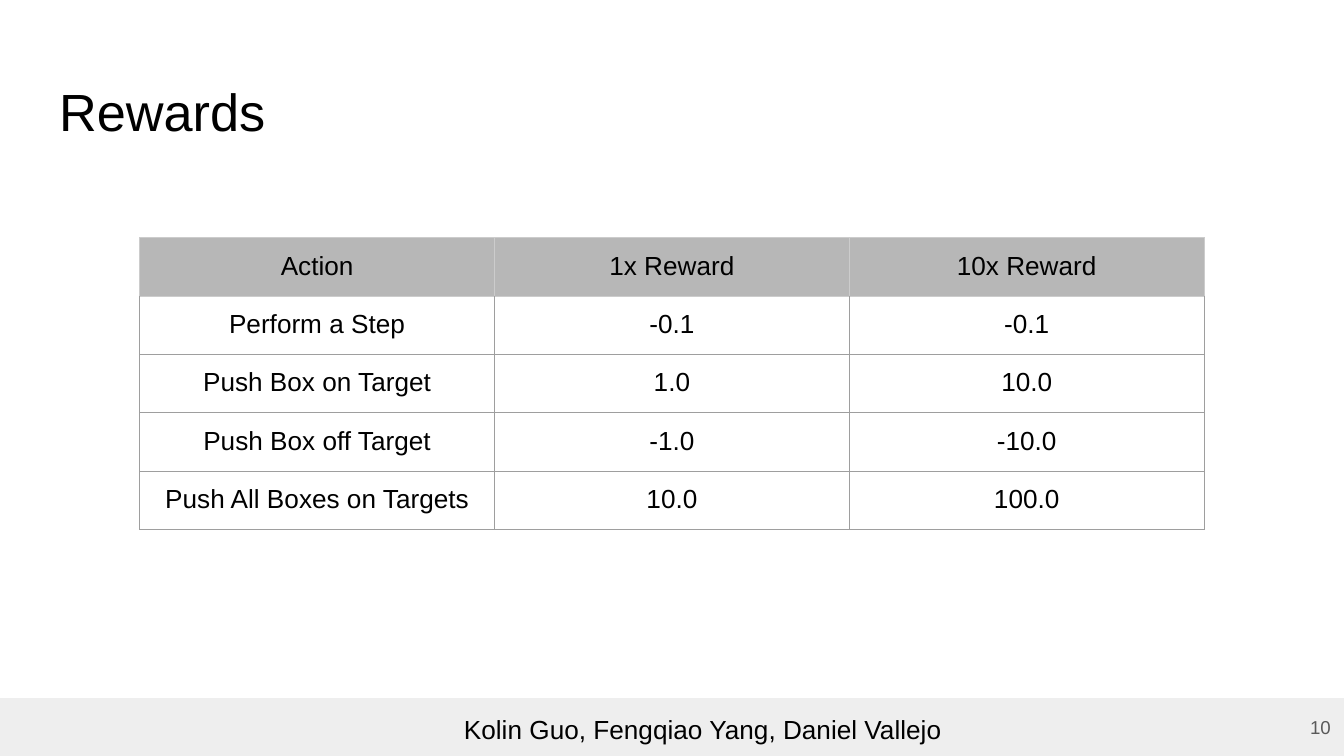
from pptx import Presentation
from pptx.dml.color import RGBColor
from pptx.enum.shapes import MSO_SHAPE
from pptx.enum.text import MSO_ANCHOR, PP_ALIGN
from pptx.oxml import parse_xml
from pptx.oxml.ns import nsdecls
from pptx.util import Inches, Pt

BLACK = RGBColor(0x00, 0x00, 0x00)
DARK_GRAY = RGBColor(0x59, 0x59, 0x59)
BAND_GRAY = RGBColor(0xEE, 0xEE, 0xEE)
HEADER_GRAY = RGBColor(0xB7, 0xB7, 0xB7)
HEADER_LINE = RGBColor(0xCC, 0xCC, 0xCC)
BODY_LINE = RGBColor(0x9E, 0x9E, 0x9E)

SLIDE_WIDTH = 10
SLIDE_HEIGHT = SLIDE_WIDTH * 9 / 16
BAND_HEIGHT = 0.43
BAND_TOP = SLIDE_HEIGHT - BAND_HEIGHT

FONT = "Arial"
INSET = Inches(0.1)
COL_WIDTH, ROW_HEIGHT = 2.64, 5 / 12
TABLE_HEIGHT = 2.17
REWARDS = [
    ("Action", "1x Reward", "10x Reward"),
    ("Perform a Step", "-0.1", "-0.1"),
    ("Push Box on Target", "1.0", "10.0"),
    ("Push Box off Target", "-1.0", "-10.0"),
    ("Push All Boxes on Targets", "10.0", "100.0"),
]


def set_insets(box):
    box.margin_left = box.margin_right = INSET
    box.margin_top = box.margin_bottom = INSET


def write(tf, text, size, color=BLACK, align=PP_ALIGN.CENTER):
    p = tf.paragraphs[0]
    p.alignment = align
    r = p.add_run()
    r.text = text
    r.font.name = FONT
    r.font.size = Pt(size)
    r.font.color.rgb = color


def fill_frame(tf, text, size, color=BLACK, align=PP_ALIGN.CENTER,
               anchor=MSO_ANCHOR.TOP):
    tf.word_wrap = True
    tf.vertical_anchor = anchor
    set_insets(tf)
    write(tf, text, size, color, align)


def add_title(slide, text):
    title = slide.shapes.title
    title.left, title.top = Inches(0.34), Inches(0.49)
    title.width, title.height = Inches(9.32), Inches(0.63)
    fill_frame(title.text_frame, text, 28, align=PP_ALIGN.LEFT)


def add_band(slide, left, top, width, height):
    sp = slide.shapes.add_shape(MSO_SHAPE.RECTANGLE, Inches(left), Inches(top),
                                Inches(width), Inches(height))
    sp.shadow.inherit = False
    sp.fill.solid()
    sp.fill.fore_color.rgb = BAND_GRAY
    sp.line.fill.background()


def add_text(slide, left, top, width, height, text, size, **style):
    box = slide.shapes.add_textbox(Inches(left), Inches(top),
                                   Inches(width), Inches(height))
    fill_frame(box.text_frame, text, size, **style)


def set_borders(cell, color, top_color):
    """Draw the four cell edges, which must precede the fill in the XML."""
    tc_pr = cell._tc.get_or_add_tcPr()
    edges = {"lnL": color, "lnR": color, "lnT": top_color, "lnB": color}
    for i, (tag, edge_color) in enumerate(edges.items()):
        ln = parse_xml(f'<a:{tag} {nsdecls("a")} w="{Pt(0.75)}"><a:solidFill>'
                       f'<a:srgbClr val="{edge_color}"/></a:solidFill></a:{tag}>')
        tc_pr.insert(i, ln)


def add_table(slide, left, top, rows):
    n_rows, n_cols = len(rows), len(rows[0])
    frame = slide.shapes.add_table(
        n_rows, n_cols, Inches(left), Inches(top),
        Inches(COL_WIDTH * n_cols), Inches(TABLE_HEIGHT))
    table = frame.table
    table.first_row = table.horz_banding = False
    for col in table.columns:
        col.width = Inches(COL_WIDTH)
    for i, values in enumerate(rows):
        table.rows[i].height = Inches(ROW_HEIGHT)
        for j, value in enumerate(values):
            cell = table.cell(i, j)
            set_insets(cell)
            write(cell.text_frame, value, 14)
            if i == 0:
                cell.fill.solid()
                cell.fill.fore_color.rgb = HEADER_GRAY
            else:
                cell.fill.background()
            set_borders(cell, BODY_LINE if i else HEADER_LINE,
                        BODY_LINE if i > 1 else HEADER_LINE)
    # Changing the row heights resets the height of the frame.
    frame.height = Inches(TABLE_HEIGHT)


def main():
    prs = Presentation()
    prs.slide_width, prs.slide_height = Inches(SLIDE_WIDTH), Inches(SLIDE_HEIGHT)
    slide = prs.slides.add_slide(prs.slide_layouts[5])
    add_band(slide, 0, BAND_TOP, SLIDE_WIDTH, BAND_HEIGHT)
    add_text(slide, 3.28, 5.21, 3.9, 0.4,
             "Kolin Guo, Fengqiao Yang, Daniel Vallejo", 14)
    add_title(slide, "Rewards")
    add_text(slide, 9.4, BAND_TOP, 0.6, BAND_HEIGHT, "10", 10, color=DARK_GRAY,
             align=PP_ALIGN.RIGHT, anchor=MSO_ANCHOR.MIDDLE)
    add_table(slide, 1.04, 1.77, REWARDS)
    prs.save("out.pptx")


if __name__ == "__main__":
    main()
